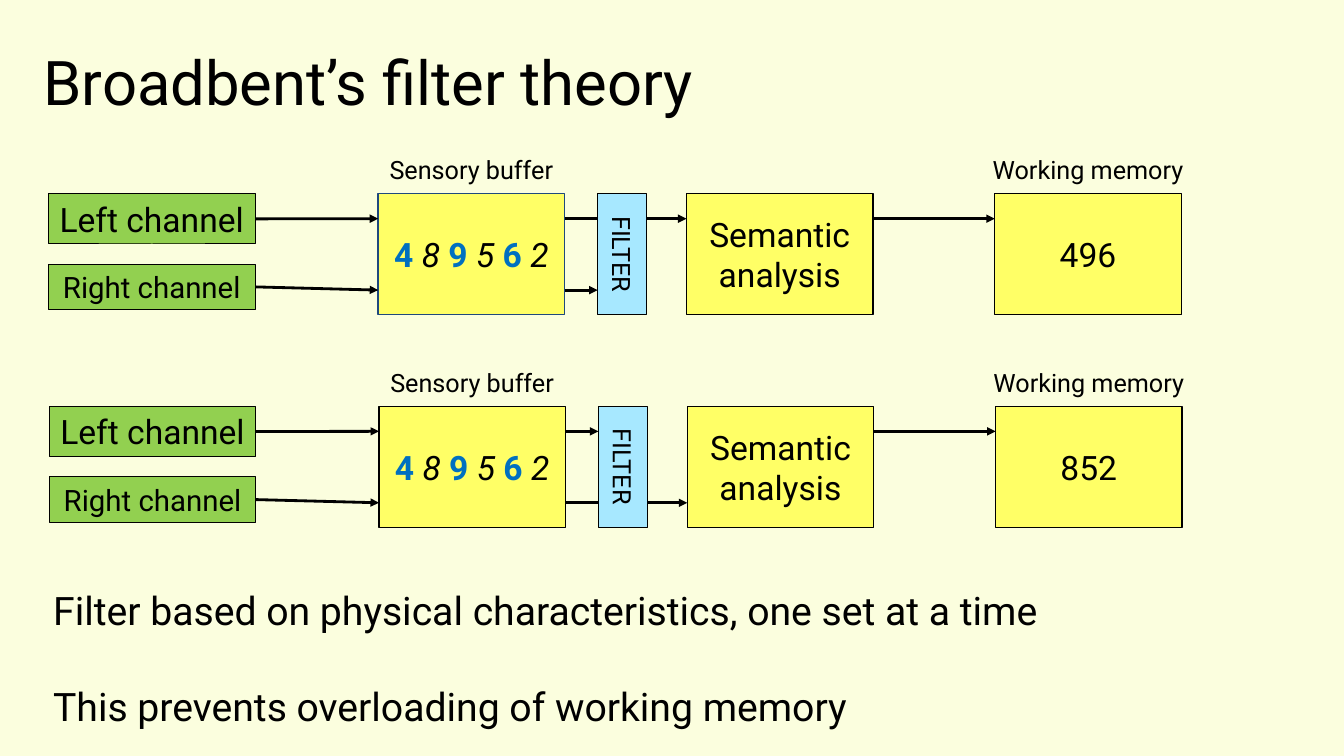
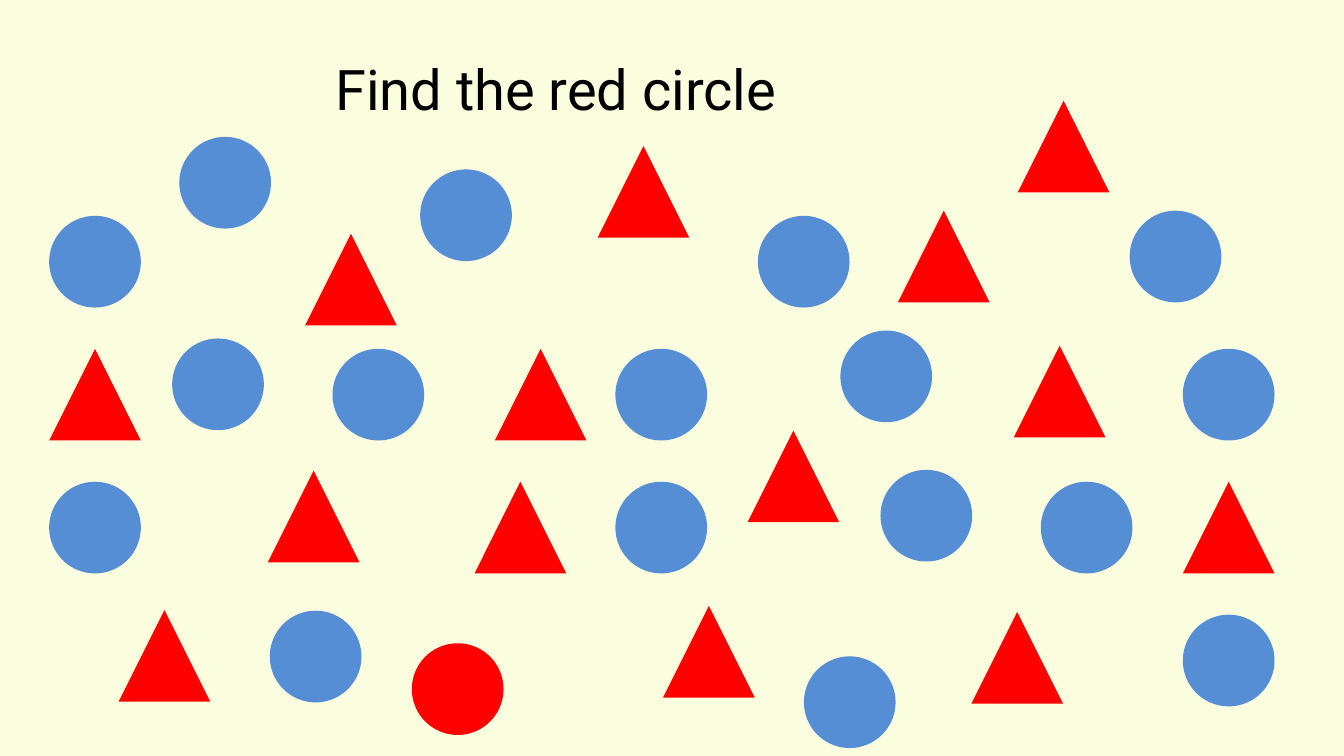
"""Build two slides on selective attention: a filter model and a visual search field."""
import pptx
import pptx.dml.color
import pptx.enum.shapes
import pptx.enum.text
import pptx.oxml
import pptx.oxml.ns
import pptx.util

Cm = pptx.util.Cm
Pt = pptx.util.Pt
SHAPE = pptx.enum.shapes.MSO_SHAPE
ALIGN = pptx.enum.text.PP_ALIGN
ANCHOR = pptx.enum.text.MSO_ANCHOR
LEFT_SIDE, RIGHT_SIDE = 1, 3
FONT = "Roboto"
COLOURS = {
    "paper": "FBFEDE", "ink": "000000", "channel": "92D050",
    "stage": "FFFF66", "filter": "A7E8FF", "navy": "1F497D",
    "digit": "0070C0", "circle": "558ED5", "target": "FF0000",
}
DIGITS = "489562"
SYMBOL_SIZE = 2.31
BLUE_CIRCLES = [
    (3.28, 0.91), (9.35, 1.73), (27.23, 2.77), (0, 2.9), (17.86, 2.9),
    (19.94, 5.79), (3.1, 5.99), (7.14, 6.25), (14.27, 6.25), (28.57, 6.25),
    (20.95, 9.3), (0, 9.6), (14.27, 9.6), (24.99, 9.6),
    (5.56, 12.85), (28.57, 12.95), (19.02, 14),
]
RED_CIRCLES = [(9.14, 13.67)]
RED_TRIANGLES = [
    (24.41, 0), (13.82, 1.14), (21.39, 2.77), (6.45, 3.35),
    (24.31, 6.17), (0, 6.25), (11.23, 6.25), (17.6, 8.31), (5.51, 9.32),
    (10.72, 9.6), (28.57, 9.6), (15.47, 12.73), (1.75, 12.83), (23.24, 12.88),
]


def colour(name):
    """Return the named colour."""
    return pptx.dml.color.RGBColor.from_string(COLOURS[name])


def style(para, size, align=ALIGN.LEFT):
    """Give a paragraph the deck's font, ink and alignment."""
    para.alignment = align
    para.font.name = FONT
    para.font.size = Pt(size)
    para.font.color.rgb = colour("ink")


def add_title(deck, text, left, top, width, height, size):
    """Add a title-only slide and place its title; return the slide."""
    page = deck.slides.add_slide(deck.slide_layouts[5])
    title = page.shapes.title
    title.left, title.top = Cm(left), Cm(top)
    title.width, title.height = Cm(width), Cm(height)
    title.text_frame.text = text
    title.text_frame.auto_size = pptx.enum.text.MSO_AUTO_SIZE.NONE
    title.text_frame.vertical_anchor = ANCHOR.MIDDLE
    style(title.text_frame.paragraphs[0], size)
    return page


def add_text(page, lines, left, top, width, height, size, align=ALIGN.LEFT, gap=0):
    """Add a wrapped text box with one paragraph per line."""
    frame = page.shapes.add_textbox(Cm(left), Cm(top), Cm(width), Cm(height)).text_frame
    frame.word_wrap = True
    for index, line in enumerate(lines):
        para = frame.add_paragraph() if index else frame.paragraphs[0]
        para.text = line
        if index:
            para.space_before = Pt(gap)
        style(para, size, align)


def add_symbol(page, kind, fill, left, top, width, height):
    """Add a filled preset shape without outline or shadow."""
    shape = page.shapes.add_shape(kind, Cm(left), Cm(top), Cm(width), Cm(height))
    shape.shadow.inherit = False
    shape.fill.solid()
    shape.fill.fore_color.rgb = colour(fill)
    shape.line.fill.background()
    return shape


def add_box(page, text, fill, left, top, width, height, size=24, line="ink", weight=1):
    """Add an outlined rectangle with centred text."""
    box = add_symbol(page, SHAPE.RECTANGLE, fill, left, top, width, height)
    box.line.color.rgb = colour(line)
    box.line.width = Pt(weight)
    frame = box.text_frame
    frame.word_wrap = True
    frame.vertical_anchor = ANCHOR.MIDDLE
    frame.text = text
    style(frame.paragraphs[0], size, ALIGN.CENTER)
    return box


def add_digits(box):
    """Write the digits, alternating bold blue and italic black."""
    para = box.text_frame.paragraphs[0]
    for index, digit in enumerate(DIGITS):
        span = para.add_run()
        span.text = digit if index == len(DIGITS) - 1 else digit + " "
        attended = index % 2 == 0
        span.font.bold = attended
        span.font.italic = not attended
        span.font.color.rgb = colour("digit" if attended else "ink")


def add_arrow(page, start_x, start_y, end_x, end_y, source=None):
    """Add an arrow, joined to the right side of its source box if given."""
    arrow = page.shapes.add_connector(
        pptx.enum.shapes.MSO_CONNECTOR.STRAIGHT,
        Cm(start_x), Cm(start_y), Cm(end_x), Cm(end_y))
    if source is not None:
        arrow.begin_connect(source, RIGHT_SIDE)
    arrow.line.color.rgb = colour("ink")
    arrow.line.width = Pt(2)
    head = pptx.oxml.parse_xml(
        f'<a:tailEnd {pptx.oxml.ns.nsdecls("a")} type="triangle"/>')
    arrow.line._get_or_add_ln().append(head)
    effects = pptx.oxml.parse_xml(f'<a:effectLst {pptx.oxml.ns.nsdecls("a")}/>')
    arrow._element.spPr.append(effects)


def add_filter_model(page, left, top, remembered, upper_passes, buffer_line="ink"):
    """Draw the flow from two channels to working memory."""
    stage_width, stage_height, channel_width = 4.7, 3.05, 5.21
    row = top + 1.12
    buffer, semantic, memory = (left + offset for offset in (8.31, 16.08, 23.85))
    gate = left + 13.84
    upper, lower = top + 1.75, top + 3.55

    channels = [
        add_box(page, "Left channel", "channel", left, row,
                channel_width, 1.27, 24, weight=0.75),
        add_box(page, "Right channel", "channel", left, row + 1.78,
                channel_width, 1.14, 21, weight=0.75),
    ]
    stages = [
        add_box(page, text, "stage", x, row, stage_width, stage_height, line=line)
        for text, x, line in (("", buffer, buffer_line),
                              ("Semantic analysis", semantic, "ink"),
                              (remembered, memory, "ink"))
    ]
    add_digits(stages[0])

    for channel, lane in zip(channels, (upper, lower)):
        add_arrow(page, left + channel_width, lane, buffer, lane, channel)
    for lane, passes in ((upper, upper_passes), (lower, not upper_passes)):
        add_arrow(page, buffer + stage_width, lane, semantic if passes else gate, lane)
    add_arrow(page, semantic + stage_width, upper, memory, upper)

    gate_box = add_box(page, "FILTER", "filter", gate, row, 1.24, stage_height, 18)
    gate_box.text_frame._txBody.bodyPr.set("vert", "vert")

    for text, x, width in (("Sensory buffer", buffer, stage_width),
                           ("Working memory", memory - 0.41, 5.52)):
        add_text(page, [text], x, top, width, 1.02, 18, ALIGN.CENTER)


def add_search_field(page, left, top):
    """Scatter the circles and triangles over the field."""
    for kind, fill, places in ((SHAPE.OVAL, "circle", BLUE_CIRCLES),
                               (SHAPE.OVAL, "target", RED_CIRCLES),
                               (SHAPE.ISOSCELES_TRIANGLE, "target", RED_TRIANGLES)):
        for x, y in places:
            add_symbol(page, kind, fill, left + x, top + y, SYMBOL_SIZE, SYMBOL_SIZE)


def build_filter_slide(deck):
    """Build the slide on filter theory."""
    page = add_title(deck, "Broadbent’s filter theory", 0.84, 0.2, 29.21, 3.68, 44)
    add_filter_model(page, 1.22, 3.76, "496", True, "navy")
    add_filter_model(page, 1.24, 9.12, "852", False)
    add_text(page, ["Filter based on physical characteristics, one set at a time",
                    "This prevents overloading of working memory"],
             1.09, 14.66, 29.21, 3.84, 28, gap=34.5)


def build_search_slide(deck):
    """Build the visual search slide."""
    page = add_title(deck, "Find the red circle", 8.2, 1.24, 16.94, 1.96, 40)
    add_search_field(page, 1.24, 2.54)


def main():
    """Create and save the deck."""
    deck = pptx.Presentation()
    deck.slide_width, deck.slide_height = Cm(33.87), Cm(19.05)
    backdrop = deck.slide_master.background.fill
    backdrop.solid()
    backdrop.fore_color.rgb = colour("paper")
    build_filter_slide(deck)
    build_search_slide(deck)
    deck.save("out.pptx")


if __name__ == "__main__":
    main()
